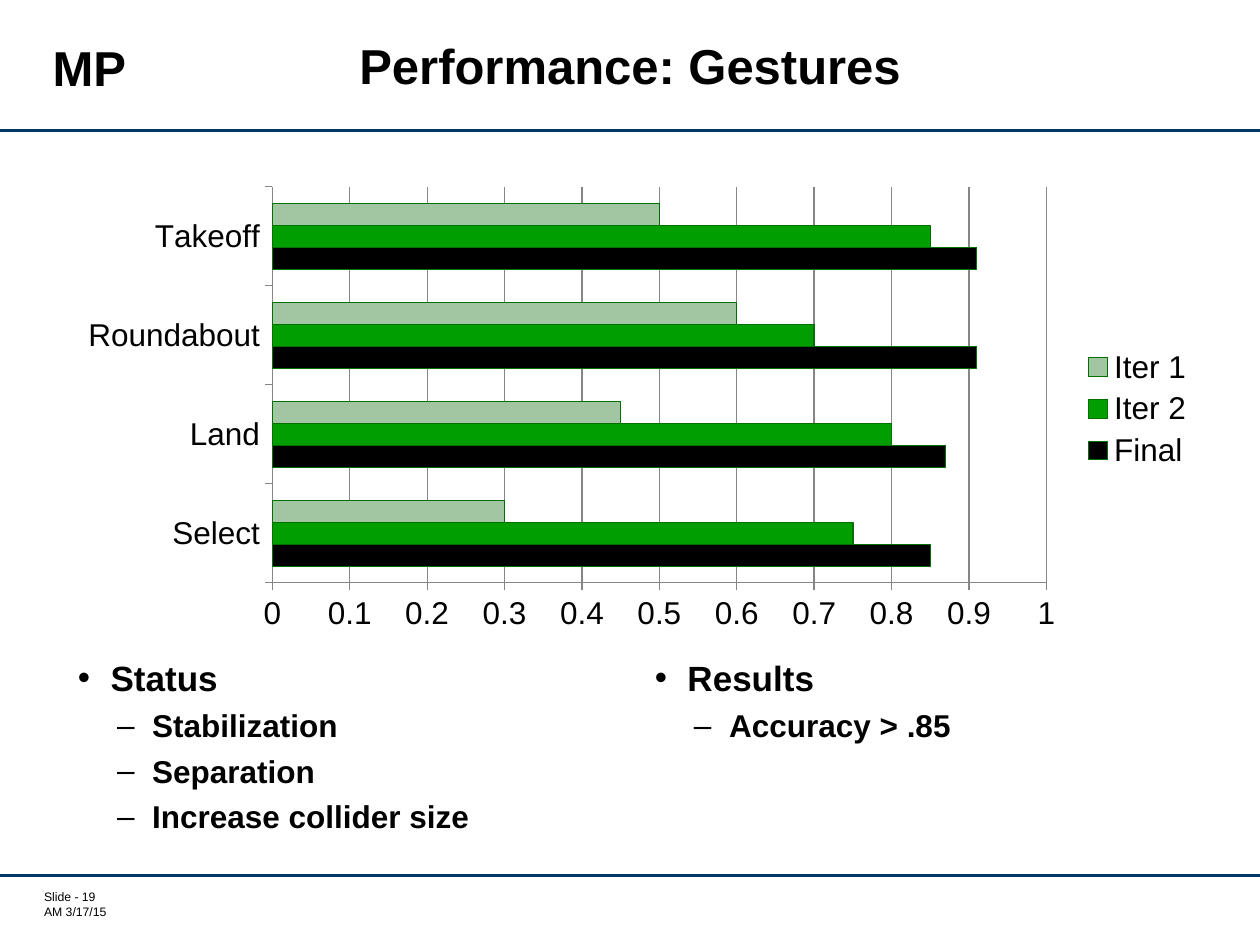
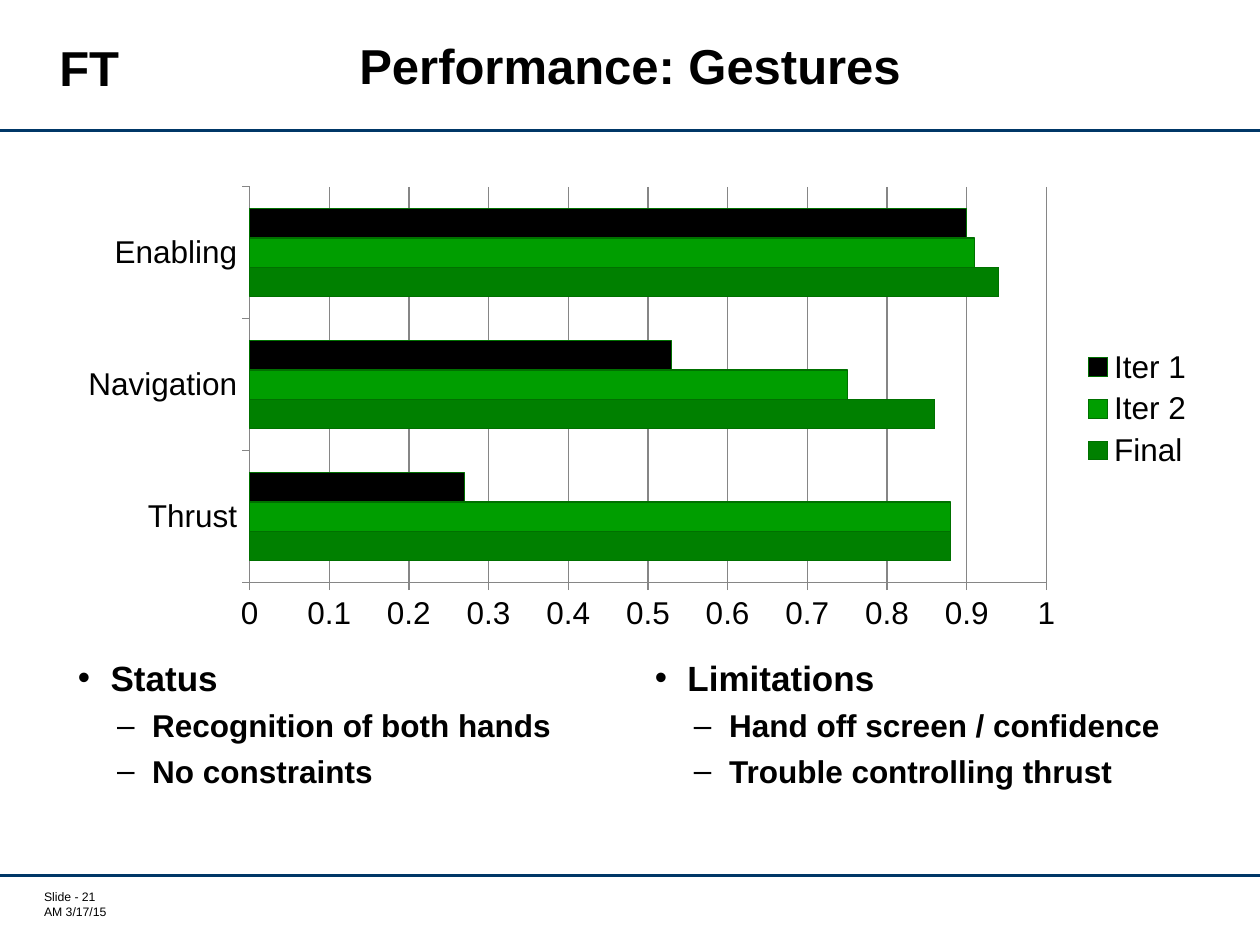
from collections import namedtuple

from lxml import etree
from pptx import Presentation
from pptx import util as u
from pptx.chart import data as chart_data
from pptx.dml import color
from pptx.enum import chart as charts, shapes, text
from pptx.oxml import ns

Box = namedtuple("Box", "left top width height")  # centimetres

FONT = "Arial"
BLACK, NAVY, GRAY = "000000", "003767", "868686"
PALE, GREEN, DEEP, EDGE = "A2C6A2", "009E00", "008000", "007000"

PAGE = Box(0, 0, 25.4, 19.05)
HEADER = Box(0, 0, PAGE.width, 2.64)
FOOTER = Box(0, 17.65, PAGE.width, 1.4)
CHART = Box(1.32, 3.58, 23.01, 9.32)
COLUMN_LEFTS = (1.32, 12.95)
COLUMN_TOP, COLUMN_WIDTH, COLUMN_HEIGHT = 13.18, 11.07, 3.81

# Bullet, left margin, hanging indent, text size, line height, space before
LEVELS = (
    ("•", 0.66, 0.66, 20, 22, 12),
    ("–", 1.5, 0.71, 18, 20, 6),
)

SLIDES = (
    {
        "number": 19,
        "tag": "MP",
        "categories": ("Select", "Land", "Roundabout", "Takeoff"),
        "series": (
            ("Final", (0.85, 0.87, 0.91, 0.91), BLACK),
            ("Iter 2", (0.75, 0.8, 0.7, 0.85), GREEN),
            ("Iter 1", (0.3, 0.45, 0.6, 0.5), PALE),
        ),
        "columns": (
            ("Status", "Stabilization", "Separation", "Increase collider size"),
            ("Results", "Accuracy > .85"),
        ),
    },
    {
        "number": 21,
        "tag": "FT",
        "categories": ("Thrust", "Navigation", "Enabling"),
        "series": (
            ("Final", (0.88, 0.86, 0.94), DEEP),
            ("Iter 2", (0.88, 0.75, 0.91), GREEN),
            ("Iter 1", (0.27, 0.53, 0.9), BLACK),
        ),
        "columns": (
            ("Status", "Recognition of both hands", "No constraints"),
            ("Limitations", "Hand off screen / confidence",
             "Trouble controlling thrust"),
        ),
    },
)


def rgb(value):
    return color.RGBColor.from_string(value)


def style_font(font, size, bold=False):
    font.name = FONT
    font.size = u.Pt(size)
    font.bold = bold
    font.color.rgb = rgb(BLACK)


def lengths(box):
    return [u.Cm(value) for value in box]


def add_text(page, box, lines, size, bold=False, align=None, inset=True):
    """Add a text box with one paragraph for each line."""
    shape = page.shapes.add_textbox(*lengths(box))
    frame = shape.text_frame
    frame.word_wrap = True
    if not inset:
        frame.margin_left = frame.margin_right = 0
        frame.margin_top = frame.margin_bottom = 0
    frame.text = "\n".join(lines)
    for para in frame.paragraphs:
        para.alignment = align
        for span in para.runs:
            style_font(span.font, size, bold)
    return frame


def add_rule(page, left, top, width):
    rule = page.shapes.add_connector(
        shapes.MSO_CONNECTOR.STRAIGHT,
        u.Cm(left), u.Cm(top), u.Cm(left + width), u.Cm(top))
    rule.line.color.rgb = rgb(NAVY)
    rule.line.width = u.Pt(1.75)
    etree.SubElement(rule._element.spPr, ns.qn("a:effectLst"))


def add_header(page, box, tag):
    """Title, tag at the left and the rule below them."""
    centre = text.PP_ALIGN.CENTER
    add_rule(page, box.left, box.top + box.height, box.width)
    title_box = Box(box.left + 2.62, box.top + 0.28, box.width - 5.24, 2.26)
    title = add_text(page, title_box, ["Performance: Gestures"], 28, True, centre)
    title.vertical_anchor = text.MSO_ANCHOR.MIDDLE
    title.paragraphs[0].line_spacing = u.Pt(28)
    tag_box = Box(box.left + 0.43, box.top + 0.64, 2.74, 1.45)
    add_text(page, tag_box, [tag], 28, True, centre)


def add_footer(page, box, number):
    add_rule(page, box.left, box.top, box.width)
    note_box = Box(box.left + 0.89, box.top + 0.28, 3.02, 0.61)
    add_text(page, note_box, [f"Slide - {number}", "AM 3/17/15"], 7, inset=False)


def add_bar_chart(page, box, categories, series):
    data = chart_data.CategoryChartData()
    data.categories = categories
    for name, values, _ in series:
        data.add_series(name, values)
    chart = page.shapes.add_chart(
        charts.XL_CHART_TYPE.BAR_CLUSTERED, *lengths(box), data).chart
    style_font(chart.font, 18)
    chart.has_title = False
    chart.has_legend = True
    chart.legend.position = charts.XL_LEGEND_POSITION.RIGHT
    chart.legend.include_in_layout = False

    # Bars
    plot = chart.plots[0]
    plot.gap_width = 150
    plot.vary_by_categories = False
    for bars, (_, _, fill) in zip(plot.series, series):
        bars.format.fill.solid()
        bars.format.fill.fore_color.rgb = rgb(fill)
        bars.format.line.color.rgb = rgb(EDGE)
        bars.format.line.width = u.Pt(0.75)

    # Axes and gridlines
    scale = chart.value_axis
    scale.minimum_scale, scale.maximum_scale, scale.major_unit = 0, 1, 0.1
    scale.has_major_gridlines = True
    scale.tick_labels.number_format = "General"
    scale.tick_labels.number_format_is_linked = False
    for axis in (scale, chart.category_axis):
        axis.major_tick_mark = charts.XL_TICK_MARK.OUTSIDE
        axis.minor_tick_mark = charts.XL_TICK_MARK.NONE
    for part in (scale, chart.category_axis, scale.major_gridlines):
        part.format.line.color.rgb = rgb(GRAY)
        part.format.line.width = u.Pt(0.75)


def add_bullets(page, box, lines):
    """A heading bullet followed by dashed points."""
    frame = add_text(page, box, lines, LEVELS[0][3], True)
    for index, para in enumerate(frame.paragraphs):
        level = min(index, 1)
        mark, margin, hang, size, height, before = LEVELS[level]
        para.level = level
        para.line_spacing = u.Pt(height)
        if index:
            para.space_before = u.Pt(before)
        props = para._p.get_or_add_pPr()
        props.set("marL", str(u.Cm(margin)))
        props.set("indent", str(-u.Cm(hang)))
        etree.SubElement(props, ns.qn("a:buFont"), typeface=FONT)
        etree.SubElement(props, ns.qn("a:buChar"), char=mark)
        para.runs[0].font.size = u.Pt(size)


def add_performance_slide(deck, content):
    page = deck.slides.add_slide(deck.slide_layouts[6])
    add_header(page, HEADER, content["tag"])
    add_footer(page, FOOTER, content["number"])
    add_bar_chart(page, CHART, content["categories"], content["series"])
    for left, lines in zip(COLUMN_LEFTS, content["columns"]):
        column = Box(left, COLUMN_TOP, COLUMN_WIDTH, COLUMN_HEIGHT)
        add_bullets(page, column, lines)


def main():
    deck = Presentation()
    deck.slide_width, deck.slide_height = u.Cm(PAGE.width), u.Cm(PAGE.height)
    for content in SLIDES:
        add_performance_slide(deck, content)
    deck.save("out.pptx")


if __name__ == "__main__":
    main()
